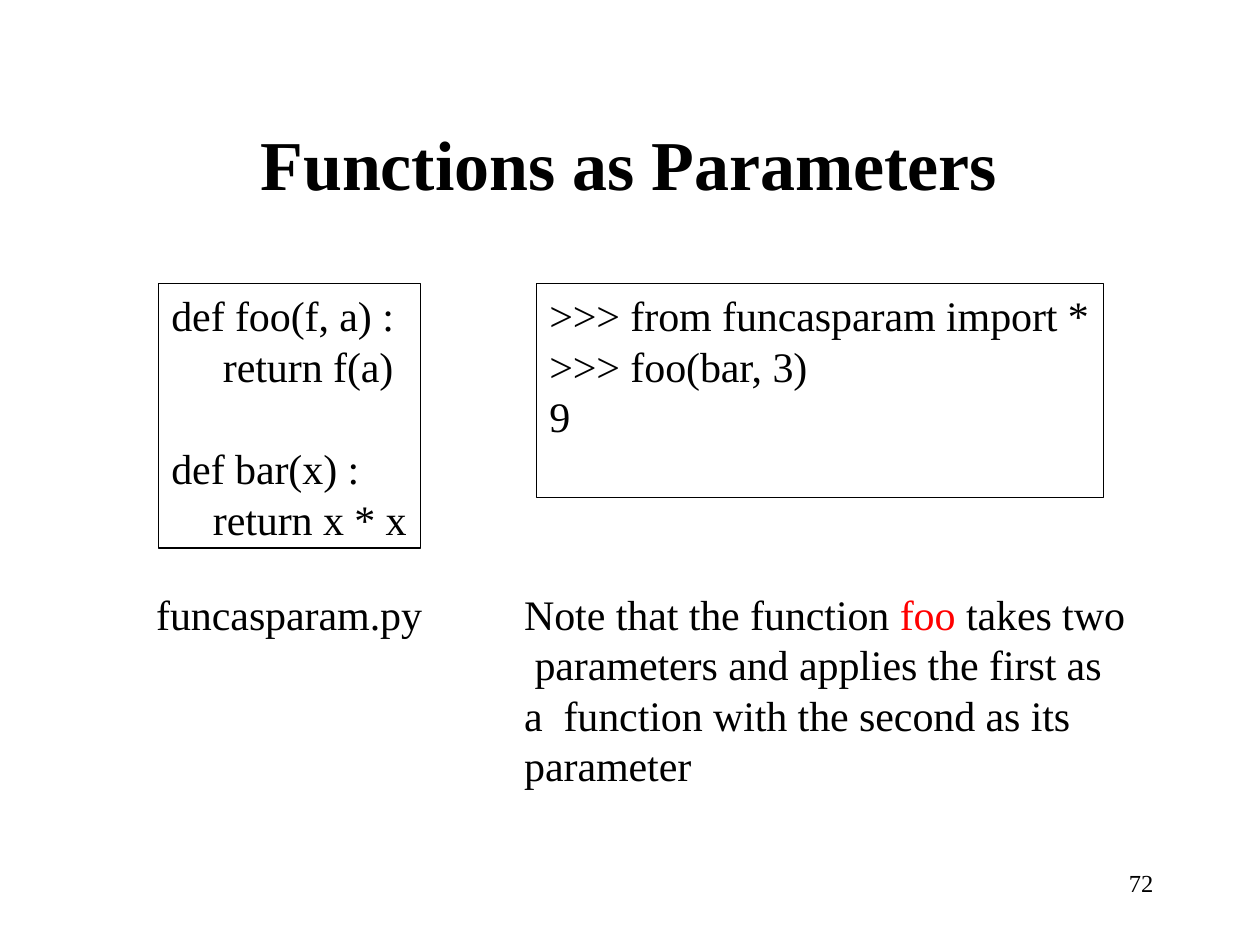
from pptx import Presentation
from pptx.dml.color import RGBColor
from pptx.enum.shapes import MSO_SHAPE as SHAPE
from pptx.enum.text import MSO_ANCHOR as ANCHOR, PP_ALIGN as ALIGN
from pptx.util import Inches, Pt

BLACK = RGBColor(0, 0, 0)
RED = RGBColor(255, 0, 0)
FONT = "Times New Roman"
BODY = 24
LEFT, RIGHT = 1.26, 4.26      # column edges
CODE, NOTE = 2.25, 4.65       # row tops
PAD = 0.1                     # code margin inside a frame
BREAK = ("\n", BLACK)

prs = Presentation()
prs.slide_width, prs.slide_height = Inches(10), Inches(7.5)
slide = prs.slides.add_slide(prs.slide_layouts[6])


def add_block(x, y, w, h, paragraphs, size=BODY, bold=False, framed=False, top=0.02):
    """Add text; each paragraph is (indent in inches, space before in points, runs)."""
    box = [Inches(v) for v in (x, y, w, h)]
    if framed:
        s = slide.shapes.add_shape(SHAPE.RECTANGLE, *box)
        s.shadow.inherit = False
        s.fill.background()
        s.line.color.rgb = BLACK
        s.line.width = Pt(0.75)
    else:
        s = slide.shapes.add_textbox(*box)
    tf = s.text_frame
    tf.word_wrap = True
    tf.vertical_anchor = ANCHOR.TOP
    tf.margin_left = tf.margin_right = tf.margin_bottom = 0
    tf.margin_top = Inches(top)
    for i, (indent, before, runs) in enumerate(paragraphs):
        p = tf.paragraphs[0] if i == 0 else tf.add_paragraph()
        p.alignment = ALIGN.LEFT
        p.line_spacing = Pt(1.2 * size)
        p.space_before = Pt(before)
        p._p.get_or_add_pPr().set("marL", str(Inches(indent)))
        for text, color in runs:
            if text == "\n":
                p.add_line_break()
                continue
            r = p.add_run()
            r.text = text
            r.font.name, r.font.size, r.font.bold = FONT, Pt(size), bold
            r.font.color.rgb = color
            r._r.get_or_add_rPr().set("spc", "-5")


add_block(2.05, 0.94, 6, 0.69, [(0.02, 0, [("Functions as Parameters", BLACK)])],
          size=40, bold=True)

definitions = [
    (PAD, 0, "def foo(f, a) :"),
    (0.51, 0, "return f(a)"),
    (PAD, 30, "def bar(x) :"),
    (0.43, 0, "return x * x"),
]
session = [(PAD, 0, line) for line in
           (">>> from funcasparam import *", ">>> foo(bar, 3)", "9")]
for x, w, h, lines in ((LEFT, 2.08, 2.1, definitions), (RIGHT, 4.5, 1.7, session)):
    add_block(x, CODE, w, h,
              [(indent, before, [(text, BLACK)]) for indent, before, text in lines],
              framed=True, top=0.05)

add_block(RIGHT - 0.12, NOTE, 4.9, 1.63, [(0.02, 0, [
    ("Note that the function ", BLACK),
    ("foo ", RED),
    ("takes two", BLACK), BREAK,
    (" parameters and applies the first as", BLACK), BREAK,
    ("a  function with the second as its", BLACK), BREAK,
    ("parameter", BLACK),
])])
add_block(LEFT - 0.04, NOTE, 2.2, 0.43, [(0.02, 0, [("funcasparam.py", BLACK)])])
add_block(8.91, 6.89, 0.28, 0.24, [(0.05, 0, [("72", BLACK)])], size=14, top=0)

prs.save("out.pptx")
